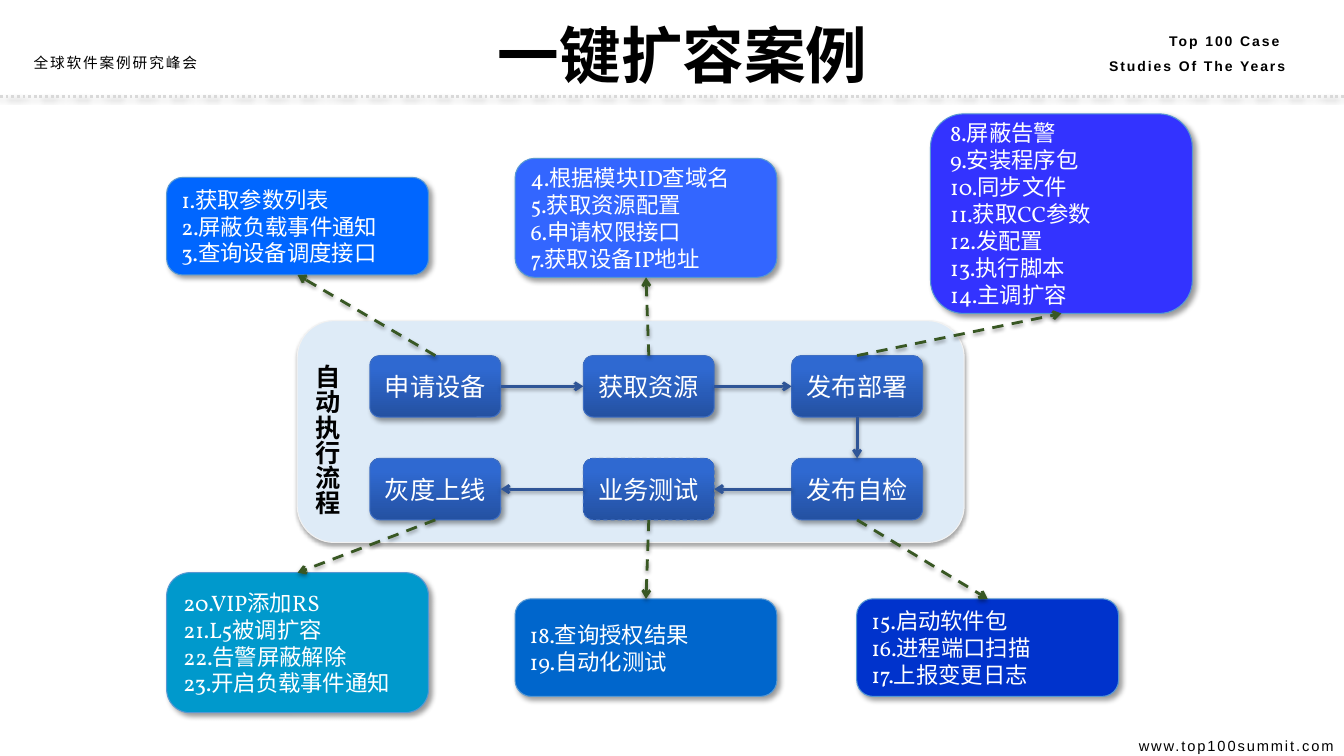
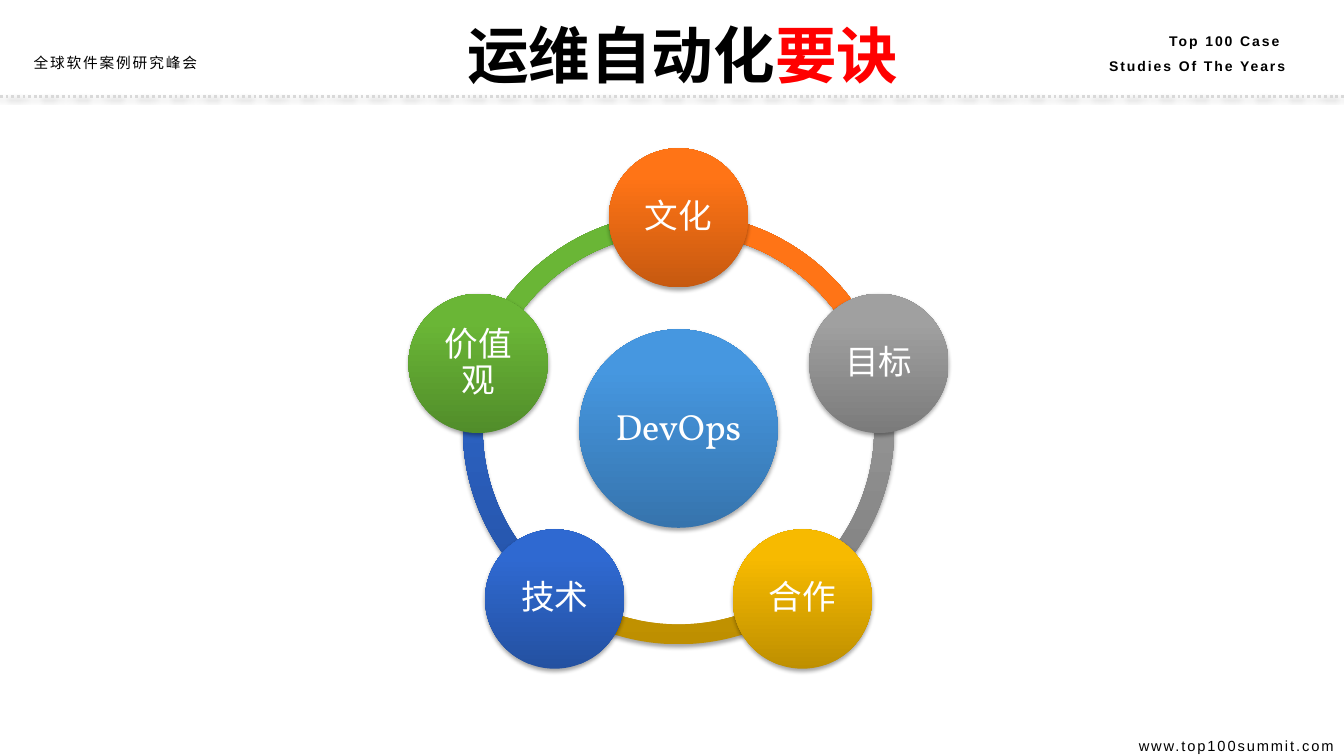
"""Build two operations automation slides: the scaling flow and the DevOps ring."""
import math

import lxml.etree
import pptx
import pptx.dml.color
import pptx.enum.dml
import pptx.enum.shapes
import pptx.enum.text
import pptx.oxml.ns
import pptx.util

Cm = pptx.util.Cm
Pt = pptx.util.Pt
qn = pptx.oxml.ns.qn
Align = pptx.enum.text.PP_ALIGN
Anchor = pptx.enum.text.MSO_ANCHOR
Dash = pptx.enum.dml.MSO_LINE
Preset = pptx.enum.shapes.MSO_SHAPE
STRAIGHT = pptx.enum.shapes.MSO_CONNECTOR.STRAIGHT

BLACK, WHITE, RED = "000000", "FFFFFF", "FF0000"
ORANGE, GREY = ("C65910", "FF7416"), ("7B7B7B", "A0A0A0")
GOLD, BLUE = ("BE8F00", "F7BA00"), ("2451A1", "2F69D1")
GREEN, SKY = ("518D2A", "6AB636"), ("3674AD", "4697E0")
LINE_SHADOW = (38, 3.1, 1.6, 90)
SOFT_SHADOW = (35, 3.1, 1.8, 90)
BOX_SHADOW = (40, 4, 3, 45)


def rgb(value):
    return pptx.dml.color.RGBColor.from_string(value)


def write(frame, text, size, color=BLACK, font="Vollkorn", bold=False,
          align=Align.CENTER, line_spacing=None, tracking=0):
    for index, line in enumerate(text.split("\n")):
        paragraph = frame.add_paragraph() if index else frame.paragraphs[-1]
        paragraph.alignment = align
        if line_spacing:
            paragraph.line_spacing = line_spacing
        run = paragraph.add_run()
        run.text = line
        run.font.size = Pt(size)
        run.font.bold = bold
        run.font.name = font
        run.font.color.rgb = rgb(color)
        properties = run.font._element
        lxml.etree.SubElement(properties, qn("a:ea"), typeface=font)
        if tracking:
            properties.set("spc", str(tracking))


presentation = pptx.Presentation()
presentation.slide_width = Cm(33.87)
presentation.slide_height = Cm(19.05)
layout = presentation.slide_layouts[5]
for placeholder in list(layout.placeholders):
    if placeholder.placeholder_format.idx:
        layout.shapes.element.remove(placeholder.element)
title = layout.placeholders[0]
title.left, title.top, title.width, title.height = Cm(7.47), Cm(0.3), Cm(19.48), Cm(2.13)
title.text_frame.vertical_anchor = Anchor.TOP
title.text_frame.auto_size = pptx.enum.text.MSO_AUTO_SIZE.NONE

shadows = []
gradients = []
flow_slide = presentation.slides.add_slide(layout)
ring_slide = presentation.slides.add_slide(layout)

shared_texts = [
    (0, 1.27, 5.82, 0.66, "全球软件案例研究峰会",
     dict(size=10.5, line_spacing=Pt(11.2))),
    (26.21, 0.48, 6.43, 1.45, "Top 100 Case \nStudies Of The Years",
     dict(size=10, font="Arial", bold=True, align=Align.RIGHT, line_spacing=1.5)),
    (26.34, 18.21, 7.53, 0.84, "www.top100summit.com",
     dict(size=10.5, font="Arial", align=Align.RIGHT, line_spacing=1.5)),
]
for left, top, width, height, text, style in shared_texts:
    shape = flow_slide.shapes.add_textbox(Cm(left), Cm(top), Cm(width), Cm(height))
    shape.text_frame.word_wrap = True
    write(shape.text_frame, text, tracking=140, **style)
    layout.shapes.element.append(shape.element)
rule = flow_slide.shapes.add_connector(STRAIGHT, 0, Cm(2.44), presentation.slide_width, Cm(2.44))
rule.line.color.rgb = rgb("D9D9D9")
rule.line.width = Pt(2)
rule.line.dash_style = Dash.ROUND_DOT
layout.shapes.element.append(rule.element)
shadows.append((rule, LINE_SHADOW))

write(flow_slide.shapes.title.text_frame, "一键扩容案例", 44, bold=True)
panel = flow_slide.shapes.add_shape(
    Preset.ROUNDED_RECTANGLE, Cm(7.49), Cm(8.08), Cm(16.81), Cm(5.59))
panel.fill.solid()
panel.fill.fore_color.rgb = rgb("DEEBF7")
panel.line.color.rgb = rgb("F2F2F2")
panel.line.width = Pt(0.75)
shadows.append((panel, SOFT_SHADOW))
label = flow_slide.shapes.add_textbox(Cm(7.49), Cm(8.94), Cm(1.27), Cm(4.04))
label.element.txBody.bodyPr.set("vert", "eaVert")
write(label.text_frame, "自动执行流程", 18, bold=True, align=Align.LEFT)

columns = [9.32, 14.7, 19.95]
rows = [8.96, 11.55]
steps = [
    ("申请设备", 0, 0, "0066FF", 4.2, 4.47, 2.46,
     "1.获取参数列表\n2.屏蔽负载事件通知\n3.查询设备调度接口"),
    ("获取资源", 1, 0, "3366FF", 12.98, 3.99, 3,
     "4.根据模块ID查域名\n5.获取资源配置\n6.申请权限接口\n7.获取设备IP地址"),
    ("发布部署", 2, 0, "3333FF", 23.45, 2.87, 5.03,
     "8.屏蔽告警\n9.安装程序包\n10.同步文件\n11.获取CC参数\n12.发配置\n13.执行脚本\n14.主调扩容"),
    ("发布自检", 2, 1, "0033CC", 21.59, 15.09, 2.46,
     "15.启动软件包\n16.进程端口扫描\n17.上报变更日志"),
    ("业务测试", 1, 1, "0066CC", 12.98, 15.09, 2.46,
     "18.查询授权结果\n19.自动化测试"),
    ("灰度上线", 0, 1, "0099CC", 4.2, 14.43, 3.53,
     "20.VIP添加RS\n21.L5被调扩容\n22.告警屏蔽解除\n23.开启负载事件通知"),
]
boxes = []
links = []
for name, column, row, color, left, top, height, details in steps:
    box = flow_slide.shapes.add_shape(
        Preset.ROUNDED_RECTANGLE, Cm(columns[column]), Cm(rows[row]), Cm(3.3), Cm(1.55))
    box.line.color.rgb = rgb("3F6FC3")
    if name == "业务测试":
        box.line.dash_style = Dash.DASH
    write(box.text_frame, name, 18, WHITE, "Noto Sans CJK SC")
    gradients.append((box, BLUE))
    boxes.append(box)
    callout = flow_slide.shapes.add_shape(
        Preset.ROUNDED_RECTANGLE, Cm(left), Cm(top), Cm(6.6), Cm(height))
    callout.fill.solid()
    callout.fill.fore_color.rgb = rgb(color)
    callout.line.color.rgb = rgb("5698D3")
    write(callout.text_frame, details, 16, WHITE, align=Align.LEFT)
    for shape in (box, callout):
        shape.line.width = Pt(0.75)
        shape.text_frame.vertical_anchor = Anchor.MIDDLE
        shadows.append((shape, BOX_SHADOW))
    sides = (2, 0) if row else (0, 2)
    links.append((box, callout, sides, "385723", Dash.DASH))

flow_sides = [(3, 1), (3, 1), (2, 0), (1, 3), (1, 3)]
for start, end, sides in zip(boxes, boxes[1:], flow_sides):
    links.append((start, end, sides, "2F5597", Dash.SOLID))
for start, end, (start_side, end_side), color, dash in links:
    arrow = flow_slide.shapes.add_connector(STRAIGHT, 0, 0, 0, 0)
    arrow.begin_connect(start, start_side)
    arrow.end_connect(end, end_side)
    arrow.line.color.rgb = rgb(color)
    arrow.line.width = Pt(2)
    arrow.line.dash_style = dash
    outline = arrow.element.spPr.find(qn("a:ln"))
    lxml.etree.SubElement(outline, qn("a:tailEnd"), type="arrow")
    shadows.append((arrow, LINE_SHADOW))

write(ring_slide.shapes.title.text_frame, "运维自动化", 44, bold=True)
write(ring_slide.shapes.title.text_frame, "要诀", 44, RED, bold=True)
center_x, center_y, ring_radius = 17.1, 10.8, 5.31
ring_diameter, hub_diameter, node_diameter = 10.87, 5, 3.51
values = [("文化", ORANGE), ("目标", GREY), ("合作", GOLD), ("技术", BLUE), ("价值观", GREEN)]
angle_step = 360 / len(values)
angles = [(270 + angle_step * index) % 360 for index in range(len(values))]

for angle, (name, colors) in reversed(list(zip(angles, values))):
    arc = ring_slide.shapes.add_shape(
        Preset.BLOCK_ARC, Cm(center_x - ring_diameter / 2), Cm(center_y - ring_diameter / 2),
        Cm(ring_diameter), Cm(ring_diameter))
    arc.adjustments[0] = angle * 0.6
    arc.adjustments[1] = (angle + angle_step) % 360 * 0.6
    arc.adjustments[2] = 0.046
    arc.line.fill.background()
    gradients.append((arc, colors))
    shadows.append((arc, SOFT_SHADOW))

circles = [("DevOps", SKY, center_x, center_y, hub_diameter, 26)]
for angle, (name, colors) in zip(angles, values):
    x = center_x + ring_radius * math.cos(math.radians(angle))
    y = center_y + ring_radius * math.sin(math.radians(angle))
    circles.append((name, colors, x, y, node_diameter, 24))
for name, colors, x, y, diameter, size in circles:
    circle = ring_slide.shapes.add_shape(
        Preset.OVAL, Cm(x - diameter / 2), Cm(y - diameter / 2), Cm(diameter), Cm(diameter))
    circle.line.fill.background()
    frame = circle.text_frame
    frame.margin_left = frame.margin_right = Cm(0.08)
    frame.margin_top = frame.margin_bottom = Cm(0.08)
    frame.vertical_anchor = Anchor.MIDDLE
    write(frame, name, size, WHITE, line_spacing=0.9)
    gradients.append((circle, colors))
    shadows.append((circle, SOFT_SHADOW))

for shape, colors in gradients:
    shape.fill.gradient()
    shape.fill.gradient_angle = 90
    for stop, color, position in zip(shape.fill.gradient_stops, colors, (0, 0.8)):
        stop.color.rgb = rgb(color)
        stop.position = position

for shape, (opacity, blur, distance, direction) in shadows:
    effects = lxml.etree.SubElement(shape.element.spPr, qn("a:effectLst"))
    shadow = lxml.etree.SubElement(
        effects, qn("a:outerShdw"), blurRad=str(Pt(blur)), dist=str(Pt(distance)),
        dir=str(direction * 60000), rotWithShape="0")
    shade = lxml.etree.SubElement(shadow, qn("a:srgbClr"), val=BLACK)
    lxml.etree.SubElement(shade, qn("a:alpha"), val=str(opacity * 1000))

presentation.save("out.pptx")
